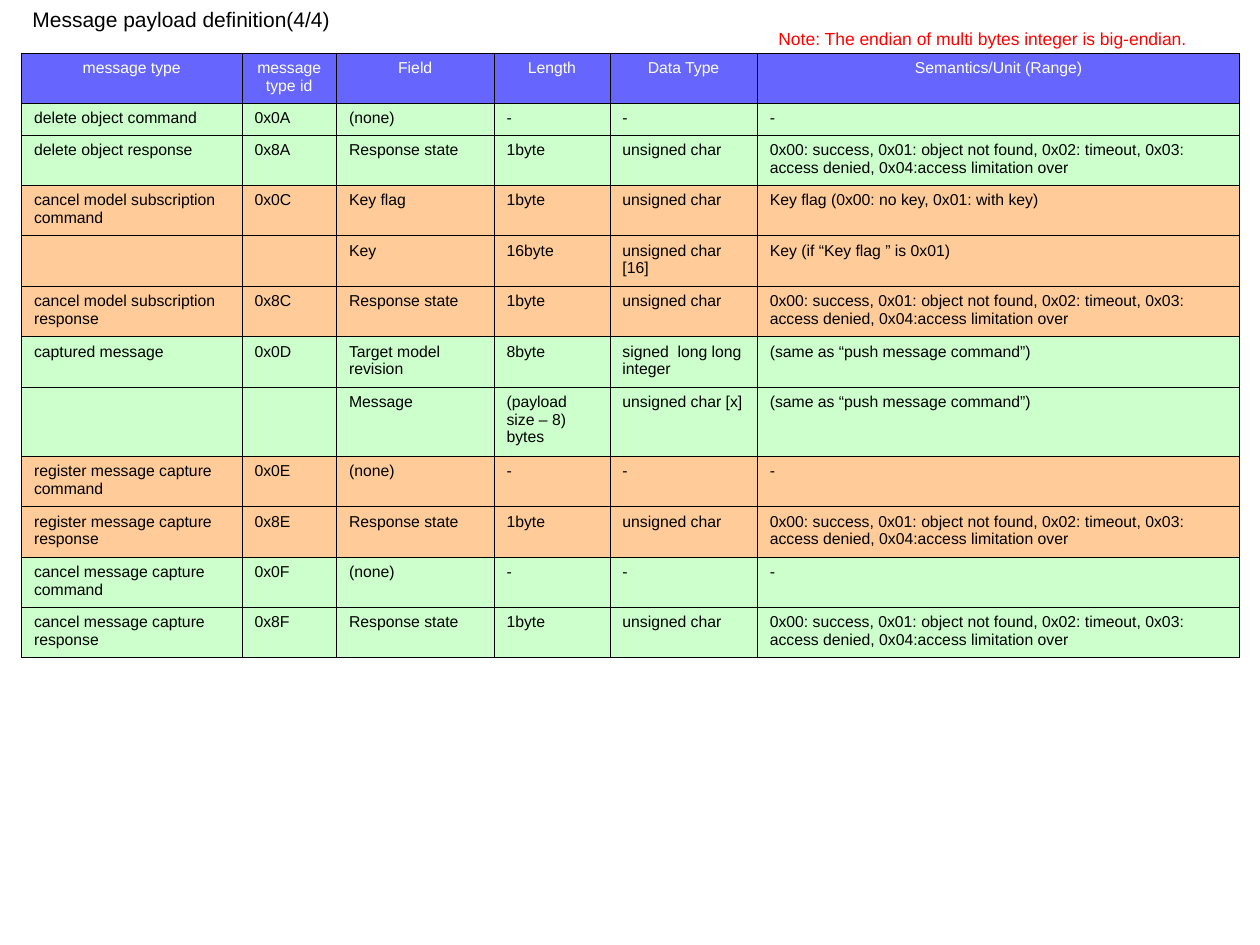
from dataclasses import dataclass

from lxml import etree
from pptx import Presentation
from pptx.dml.color import RGBColor
from pptx.enum.text import MSO_AUTO_SIZE, PP_ALIGN
from pptx.oxml.ns import qn
from pptx.slide import Slide
from pptx.table import _Cell
from pptx.text.text import _Paragraph
from pptx.util import Inches, Pt

CENTER = PP_ALIGN.CENTER
LEFT = PP_ALIGN.LEFT
FIT_SHAPE = MSO_AUTO_SIZE.SHAPE_TO_FIT_TEXT

FONT_NAME = "Arial"
BLACK, WHITE, RED = "000000", "FFFFFF", "FF0000"
BLUE, GREEN, ORANGE = "6666FF", "CCFFCC", "FFCC99"
BORDER_WIDTH = Pt(0.34)
BORDER_SIDES = ("a:lnL", "a:lnR", "a:lnT", "a:lnB")


@dataclass
class Label:
    text: str
    left: float
    top: float
    width: float
    height: float
    size: float
    color: str


@dataclass
class Row:
    texts: tuple[str, ...]
    fill: str
    height: float = 0.4
    color: str = BLACK
    alignment: PP_ALIGN = LEFT


NO_PAYLOAD = ("(none)", "-", "-", "-")
RESPONSE_STATE = (
    "Response state", "1byte", "unsigned char",
    "0x00: success, 0x01: object not found, 0x02: timeout, 0x03: "
    "access denied, 0x04:access limitation over",
)
SAME_AS_PUSH = "(same as “push message command”)"

LABELS = [
    Label("Message payload definition(4/4)", 0.16, 0, 2.56, 0.3, 12, BLACK),
    Label("Note: The endian of multi bytes integer is big-endian.",
          6.08, 0.17, 3.44, 0.27, 10, RED),
]
COLUMN_WIDTHS = (1.75, 0.75, 1.25, 0.92, 1.17, 3.83)
ROWS = [
    Row(("message type", "message type id", "Field", "Length", "Data Type",
         "Semantics/Unit (Range)"), BLUE, color=WHITE, alignment=CENTER),
    Row(("delete object command", "0x0A", *NO_PAYLOAD), GREEN, height=0.25),
    Row(("delete object response", "0x8A", *RESPONSE_STATE), GREEN),
    Row(("cancel model subscription command", "0x0C", "Key flag", "1byte",
         "unsigned char", "Key flag (0x00: no key, 0x01: with key)"), ORANGE),
    Row(("", "", "Key", "16byte", "unsigned char [16]",
         "Key (if “Key flag ” is 0x01)"), ORANGE),
    Row(("cancel model subscription response", "0x8C", *RESPONSE_STATE), ORANGE),
    Row(("captured message", "0x0D", "Target model revision", "8byte",
         "signed  long long integer", SAME_AS_PUSH), GREEN),
    Row(("", "", "Message", "(payload size – 8) bytes", "unsigned char [x]",
         SAME_AS_PUSH), GREEN, height=0.55),
    Row(("register message capture command", "0x0E", *NO_PAYLOAD), ORANGE),
    Row(("register message capture response", "0x8E", *RESPONSE_STATE), ORANGE),
    Row(("cancel message capture command", "0x0F", *NO_PAYLOAD), GREEN),
    Row(("cancel message capture response", "0x8F", *RESPONSE_STATE), GREEN),
]


def rgb(color: str) -> RGBColor:
    return RGBColor.from_string(color)


def style_paragraph(paragraph: _Paragraph, size: float, color: str) -> None:
    paragraph.font.name = FONT_NAME
    paragraph.font.size = Pt(size)
    paragraph.font.color.rgb = rgb(color)


def add_borders(cell: _Cell) -> None:
    properties = cell._tc.get_or_add_tcPr()
    for position, side in enumerate(BORDER_SIDES):
        line = etree.Element(qn(side), w=str(BORDER_WIDTH))
        fill = etree.SubElement(line, qn("a:solidFill"))
        etree.SubElement(fill, qn("a:srgbClr"), val=BLACK)
        properties.insert(position, line)


def fill_cell(cell: _Cell, text: str, row: Row) -> None:
    cell.fill.solid()
    cell.fill.fore_color.rgb = rgb(row.fill)
    add_borders(cell)
    paragraph = cell.text_frame.paragraphs[0]
    paragraph.text = text
    paragraph.alignment = row.alignment
    paragraph.space_before = Pt(2.2)
    style_paragraph(paragraph, 9, row.color)


def add_payload_table(slide: Slide) -> None:
    table = slide.shapes.add_table(
        len(ROWS), len(COLUMN_WIDTHS), Inches(0.17), Inches(0.42),
        Inches(sum(COLUMN_WIDTHS)), Inches(sum(row.height for row in ROWS)),
    ).table
    for column, width in zip(table.columns, COLUMN_WIDTHS):
        column.width = Inches(width)
    for table_row, row in zip(table.rows, ROWS):
        table_row.height = Inches(row.height)
        for cell, text in zip(table_row.cells, row.texts):
            fill_cell(cell, text, row)


def add_label(slide: Slide, label: Label) -> None:
    shape = slide.shapes.add_textbox(
        Inches(label.left), Inches(label.top),
        Inches(label.width), Inches(label.height),
    )
    shape.text_frame.word_wrap = False
    shape.text_frame.auto_size = FIT_SHAPE
    paragraph = shape.text_frame.paragraphs[0]
    paragraph.text = label.text
    style_paragraph(paragraph, label.size, label.color)


def main() -> None:
    presentation = Presentation()
    presentation.slide_width = Inches(10)
    presentation.slide_height = Inches(7.5)
    slide = presentation.slides.add_slide(presentation.slide_layouts[6])
    add_payload_table(slide)
    for label in LABELS:
        add_label(slide, label)
    presentation.save("out.pptx")


if __name__ == "__main__":
    main()
